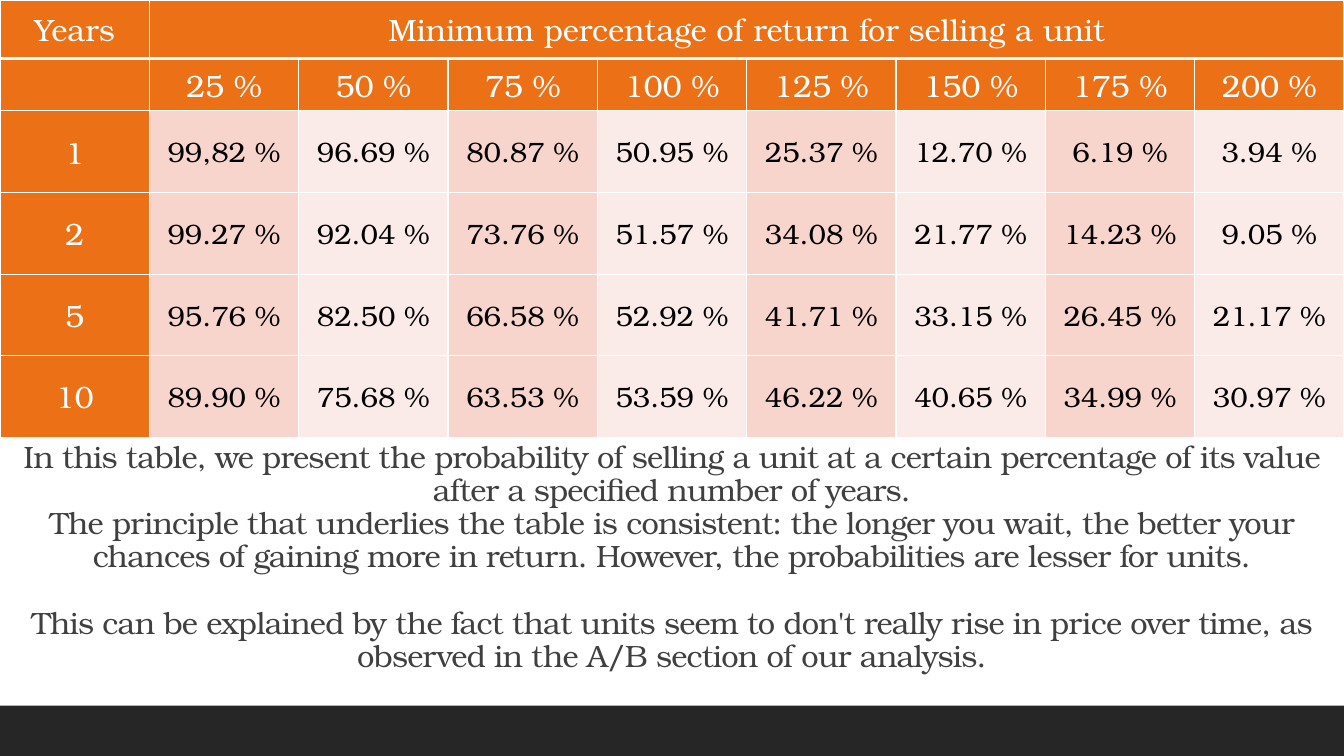
from lxml import etree
from pptx import Presentation
from pptx import util as u
from pptx.dml.color import RGBColor
from pptx.enum import shapes, text
from pptx.oxml import ns

ORANGE = RGBColor(0xEC, 0x70, 0x16)
ROSE = RGBColor(0xF8, 0xD5, 0xCC)
PALE_ROSE = RGBColor(0xFB, 0xEB, 0xE8)
WHITE = RGBColor(0xFF, 0xFF, 0xFF)
BLACK = RGBColor(0, 0, 0)
GRAY = RGBColor(0x40, 0x40, 0x40)
CHARCOAL = RGBColor(0x26, 0x26, 0x26)

WIDTH, HEIGHT = 13.33, 7.5
TABLE_HEIGHT, FOOTER_HEIGHT = 4.33, 0.5
ROW_HEIGHTS = [0.58, 0.52] + [0.81] * 4

RETURNS = [f"{percent} %" for percent in range(25, 201, 25)]
PROBABILITIES = {
    "1": "99,82 96.69 80.87 50.95 25.37 12.70 6.19 3.94",
    "2": "99.27 92.04 73.76 51.57 34.08 21.77 14.23 9.05",
    "5": "95.76 82.50 66.58 52.92 41.71 33.15 26.45 21.17",
    "10": "89.90 75.68 63.53 53.59 46.22 40.65 34.99 30.97",
}
ROWS = [["Years", "Minimum percentage of return for selling a unit"], [""] + RETURNS]
ROWS += [[years] + [f"{value} %" for value in values.split()] for years, values in PROBABILITIES.items()]

EXPLANATION = [
    "In this table, we present the probability of selling a unit at a certain percentage "
    "of its value after a specified number of years.",
    "The principle that underlies the table is consistent: the longer you wait, the better "
    "your chances of gaining more in return. However, the probabilities are lesser for units.",
    "This can be explained by the fact that units seem to don't really rise in price over "
    "time, as observed in the A/B section of our analysis.",
]


class SlideBuilder:
    font_name = "TeX Gyre Bonum"

    def __init__(self, slide):
        self.slide = slide

    def apply(self, target, formats):
        for name, value in formats.items():
            setattr(target, name, value)

    def add_words(self, paragraph, words, size, color):
        paragraph.alignment = text.PP_ALIGN.CENTER
        run = paragraph.add_run()
        run.text = words
        self.apply(run.font, {"name": self.font_name, "size": u.Pt(size), "bold": False})
        run.font.color.rgb = color
        return run

    def footer(self, top, height, color):
        shape = self.slide.shapes.add_shape(
            shapes.MSO_SHAPE.RECTANGLE, 0, u.Inches(top), u.Inches(WIDTH), u.Inches(height))
        shape.shadow.inherit = False
        shape.fill.solid()
        shape.fill.fore_color.rgb = color
        shape.line.fill.background()

    def title(self, top, height, paragraphs):
        title = self.slide.shapes.title
        self.apply(title, {"left": 0, "top": u.Inches(top),
                           "width": u.Inches(WIDTH), "height": u.Inches(height)})
        frame = title.text_frame
        self.apply(frame, {"word_wrap": True, "auto_size": text.MSO_AUTO_SIZE.NONE,
                           "vertical_anchor": text.MSO_ANCHOR.TOP})
        for index, words in enumerate(paragraphs):
            paragraph = frame.paragraphs[0] if index == 0 else frame.add_paragraph()
            last = index == len(paragraphs) - 1
            self.apply(paragraph, {"line_spacing": 0.9, "space_after": u.Pt(0),
                                   "space_before": u.Pt(24 if last else 0)})
            run = self.add_words(paragraph, words, 22, GRAY)
            run.font._element.set("spc", "-50")

    def borders(self, cell, widths):
        properties = cell._tc.get_or_add_tcPr()
        for side, width in widths.items():
            line = etree.SubElement(properties, ns.qn(f"a:ln{side}"), w=str(u.Pt(width)))
            fill = etree.SubElement(line, ns.qn("a:solidFill"))
            etree.SubElement(fill, ns.qn("a:srgbClr"), val=str(WHITE))

    def table(self, rows, row_heights):
        columns = len(rows[-1])
        table = self.slide.shapes.add_table(
            len(rows), columns, 0, 0, u.Inches(WIDTH), u.Inches(TABLE_HEIGHT)).table
        for column in table.columns:
            column.width = u.Inches(WIDTH / columns)
        for row, height in zip(table.rows, row_heights):
            row.height = u.Inches(height)
        table.cell(0, 1).merge(table.cell(0, columns - 1))
        for row in range(len(rows)):
            for column in range(columns):
                cell = table.cell(row, column)
                heading = row < 2 or column == 0
                self.borders(cell, {"L": 1, "R": 1, "T": 3 if row == 1 else 1,
                                    "B": 3 if row == 0 else 1})
                cell.fill.solid()
                cell.fill.fore_color.rgb = ORANGE if heading else ROSE if column % 2 else PALE_ROSE
                cell.vertical_anchor = text.MSO_ANCHOR.MIDDLE
                if column < len(rows[row]) and rows[row][column]:
                    self.add_words(cell.text_frame.paragraphs[0], rows[row][column],
                                   22 if heading else 20, WHITE if heading else BLACK)


def main():
    presentation = Presentation()
    presentation.slide_width = u.Inches(WIDTH)
    presentation.slide_height = u.Inches(HEIGHT)
    builder = SlideBuilder(presentation.slides.add_slide(presentation.slide_layouts[5]))
    footer_top = HEIGHT - FOOTER_HEIGHT
    builder.footer(footer_top, FOOTER_HEIGHT, CHARCOAL)
    builder.title(TABLE_HEIGHT, footer_top - TABLE_HEIGHT, EXPLANATION)
    builder.table(ROWS, ROW_HEIGHTS)
    presentation.save("out.pptx")


if __name__ == "__main__":
    main()
